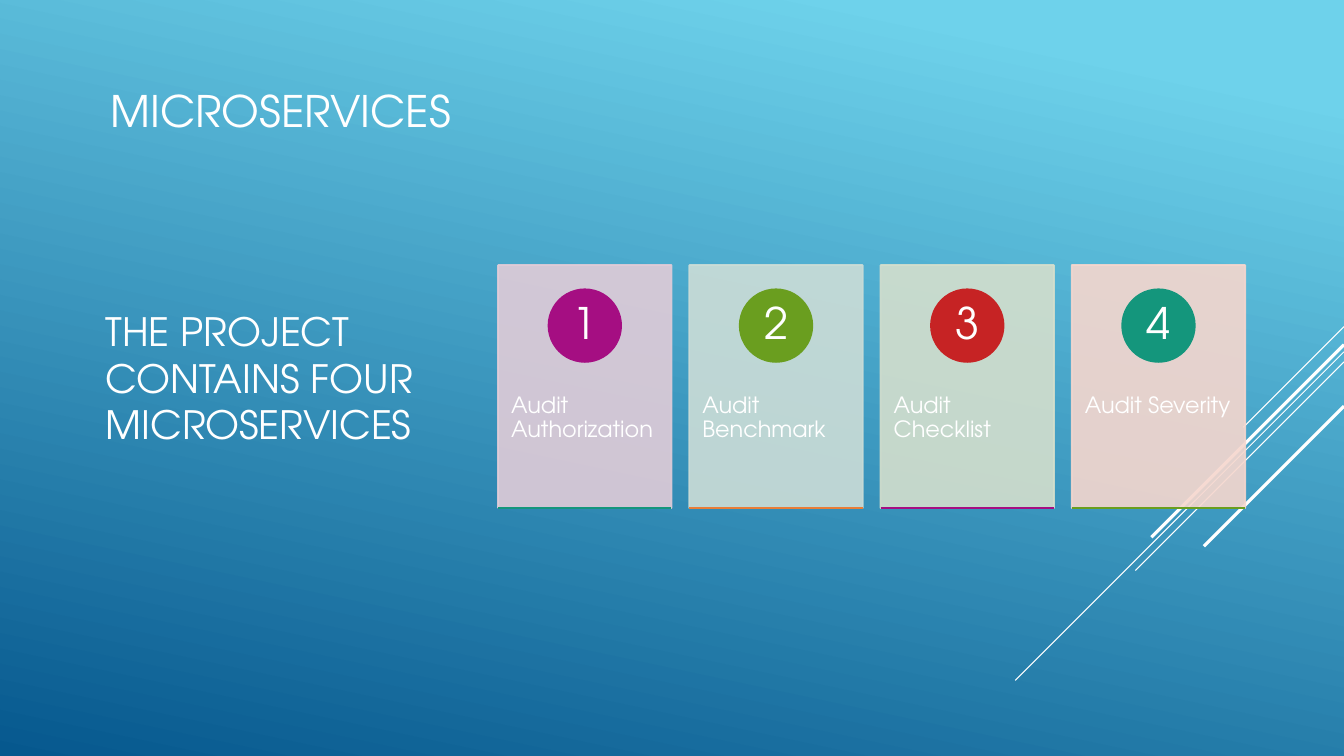
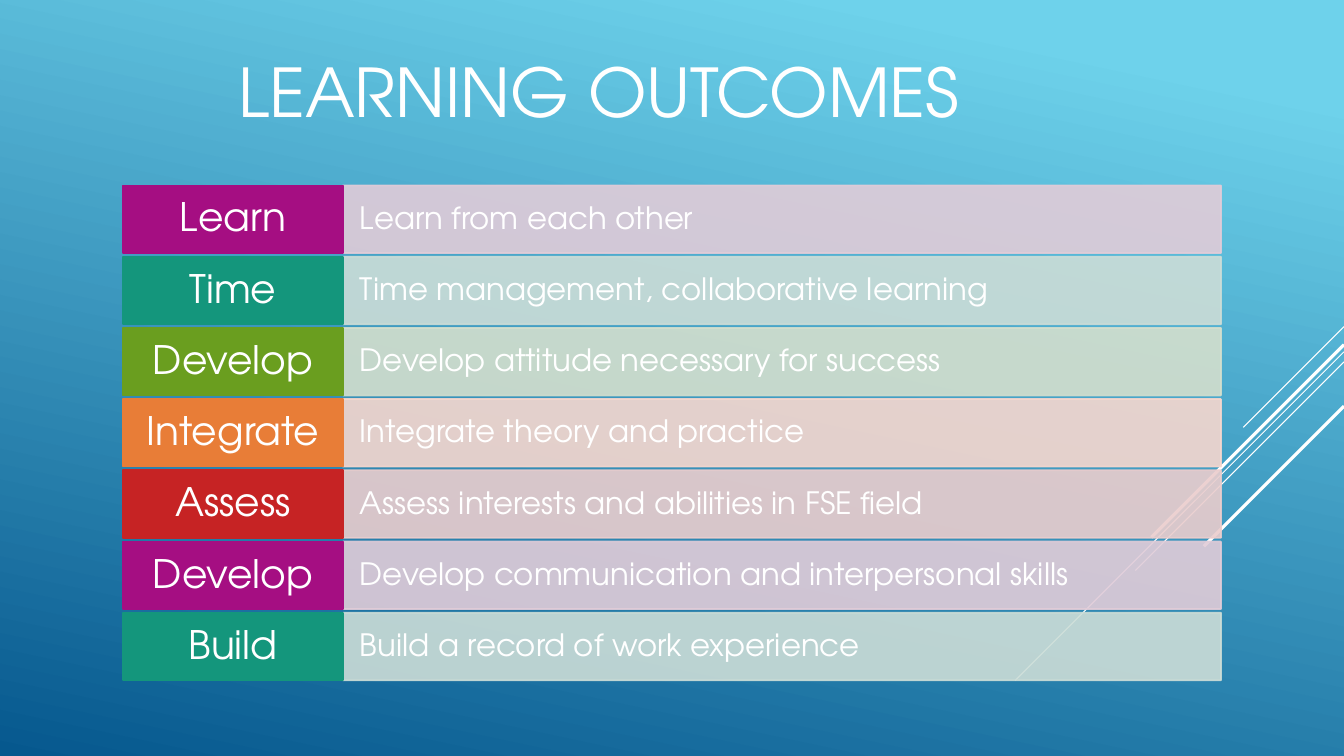
from lxml.etree import SubElement
from pptx import Presentation
from pptx.dml.color import RGBColor
from pptx.enum.shapes import MSO_CONNECTOR, MSO_SHAPE
from pptx.enum.text import MSO_ANCHOR, PP_ALIGN
from pptx.oxml.ns import qn
from pptx.util import Inches, Pt

FONT = "TeX Gyre Adventor"
COLORS = {
    "sky": "6ED2EB", "deep": "06588E", "white": "FFFFFF",
    "purple": "A50E82", "teal": "14967C", "green": "6A9E1F",
    "orange": "E87D37", "red": "C62324",
    "pale purple": "E1CCD8", "pale teal": "CCDDD7", "pale green": "D4DFCD",
    "pale orange": "F6D7CE", "pale red": "EACDCD",
}
RGB = {name: RGBColor.from_string(value) for name, value in COLORS.items()}


def write(shape, text, size, align, spacing, frame_format):
    frame = shape.text_frame
    for name, value in {"word_wrap": True, **frame_format}.items():
        setattr(frame, name, value)
    paragraph = frame.paragraphs[0]
    paragraph.text = text
    paragraph.alignment = align
    paragraph.line_spacing = spacing
    for name, value in {"name": FONT, "size": Pt(size)}.items():
        setattr(paragraph.font, name, value)
    paragraph.font.color.rgb = RGB["white"]


def add_block(slide, preset, box, color):
    block = slide.shapes.add_shape(preset, *map(Inches, box))
    block.shadow.inherit = False
    block.fill.solid()
    block.fill.fore_color.rgb = RGB[color]
    block.line.color.rgb = RGB[color]
    block.line.width = Pt(1.25)
    if color.startswith("pale"):
        for tint in block._element.spPr.iter(qn("a:srgbClr")):
            SubElement(tint, qn("a:alpha"), val="90000")
    return block


prs = Presentation()
prs.slide_width = Inches(13.33)
prs.slide_height = Inches(7.5)

backdrop = prs.slide_master.background.fill
backdrop.gradient()
backdrop.gradient_angle = 258
for stop, color, position in zip(backdrop.gradient_stops, ("sky", "deep"), (0.1, 1)):
    stop.color.rgb = RGB[color]
    stop.position = position

services_slide, outcomes_slide = [prs.slides.add_slide(prs.slide_layouts[6]) for _ in range(2)]

rays = [(3.24, 1, 0.75), (3.49, 3.26, 0.75), (3.59, 2.07, 0.75), (3.42, 1.91, 2.25), (4.03, 1.39, 2.25)]
lines = [
    (slide, 13.33, top, 13.33 - reach, top + reach, "white", weight)
    for slide in prs.slides
    for top, reach, weight in rays
]

card_left, card_top, card_width, card_height = 4.94, 2.63, 1.72, 2.41
card_pitch = 5.69 / 3
card_bottom = card_top + card_height
badge_size = 0.72
card_format = {
    "vertical_anchor": MSO_ANCHOR.TOP,
    "margin_left": Inches(0.13), "margin_right": Inches(0.13),
    "margin_top": Inches(1.28), "margin_bottom": Inches(0.36),
}
badge_format = {
    "vertical_anchor": MSO_ANCHOR.MIDDLE,
    "margin_left": Inches(0.06), "margin_right": Inches(0.06),
    "margin_top": Inches(0.01), "margin_bottom": Inches(0.01),
}
services = [
    ("Audit Authorization", "pale purple", "purple", "teal"),
    ("Audit Benchmark", "pale teal", "green", "orange"),
    ("Audit Checklist", "pale green", "red", "purple"),
    ("Audit Severity", "pale orange", "teal", "green"),
]
lines += [
    (services_slide, card_left + i * card_pitch, card_bottom,
     card_left + i * card_pitch + card_width, card_bottom, base_color, 1.25)
    for i, (_, _, _, base_color) in enumerate(services)
]
ray_count = len(lines) - len(services)

for index, (slide, x1, y1, x2, y2, color, weight) in enumerate(lines):
    if index == ray_count:
        for i, (service, card_color, badge_color, _) in enumerate(services):
            left = card_left + i * card_pitch
            card = add_block(services_slide, MSO_SHAPE.RECTANGLE,
                             (left, card_top, card_width, card_height), card_color)
            write(card, service, 16, PP_ALIGN.LEFT, 0.9, card_format)
            badge = add_block(services_slide, MSO_SHAPE.OVAL,
                              (left + (card_width - badge_size) / 2, 2.87, badge_size, badge_size),
                              badge_color)
            write(badge, str(i + 1), 31, PP_ALIGN.CENTER, 0.9, badge_format)
    line = slide.shapes.add_connector(MSO_CONNECTOR.STRAIGHT, *map(Inches, (x1, y1, x2, y2)))
    line.line.color.rgb = RGB[color]
    line.line.width = Pt(weight)
    SubElement(line._element.spPr, qn("a:effectLst"))

row_top, row_height, row_pitch = 1.84, 0.67, 4.24 / 6
keyword_left, keyword_width, detail_width = 1.22, 2.18, 8.71
keyword_format = {
    "vertical_anchor": MSO_ANCHOR.MIDDLE,
    "margin_left": Inches(0.12), "margin_right": Inches(0.12),
    "margin_top": Inches(0.07), "margin_bottom": Inches(0.07),
}
detail_format = {
    "vertical_anchor": MSO_ANCHOR.MIDDLE,
    "margin_left": Inches(0.17), "margin_right": Inches(0.17),
    "margin_top": Inches(0.17), "margin_bottom": Inches(0.17),
}
row_colors = ["purple", "teal", "green", "orange", "red"]
outcomes = [
    ("Learn", "Learn from each other"),
    ("Time", "Time management, collaborative learning"),
    ("Develop", "Develop attitude necessary for success"),
    ("Integrate", "Integrate theory and practice"),
    ("Assess", "Assess interests and abilities in FSE field"),
    ("Develop", "Develop communication and interpersonal skills"),
    ("Build", "Build a record of work experience"),
]
for i, (keyword, detail) in enumerate(outcomes):
    top = row_top + i * row_pitch
    color = row_colors[i % len(row_colors)]
    detail_bar = add_block(outcomes_slide, MSO_SHAPE.RECTANGLE,
                           (keyword_left + keyword_width, top, detail_width, row_height), "pale " + color)
    write(detail_bar, detail, 22, PP_ALIGN.LEFT, 0.9, detail_format)
    keyword_cell = add_block(outcomes_slide, MSO_SHAPE.RECTANGLE,
                             (keyword_left, top, keyword_width, row_height), color)
    write(keyword_cell, keyword, 28, PP_ALIGN.CENTER, 0.9, keyword_format)

headings = [
    (services_slide, "THE PROJECT CONTAINS FOUR MICROSERVICES", (0.95, 2.77, 3.51, 1.95),
     27.9, PP_ALIGN.LEFT, MSO_ANCHOR.MIDDLE),
    (services_slide, "MICROSERVICES", (1, 0.79, 4.86, 0.94), 31, PP_ALIGN.LEFT, MSO_ANCHOR.TOP),
    (outcomes_slide, "LEARNING OUTCOMES", (1.41, 0.15, 9.06, 1.2), 48, PP_ALIGN.CENTER, MSO_ANCHOR.BOTTOM),
]
for slide, text, box, size, align, anchor in headings:
    heading = slide.shapes.add_textbox(*map(Inches, box))
    write(heading, text, size, align, 1.0, {"vertical_anchor": anchor})

prs.save("out.pptx")
